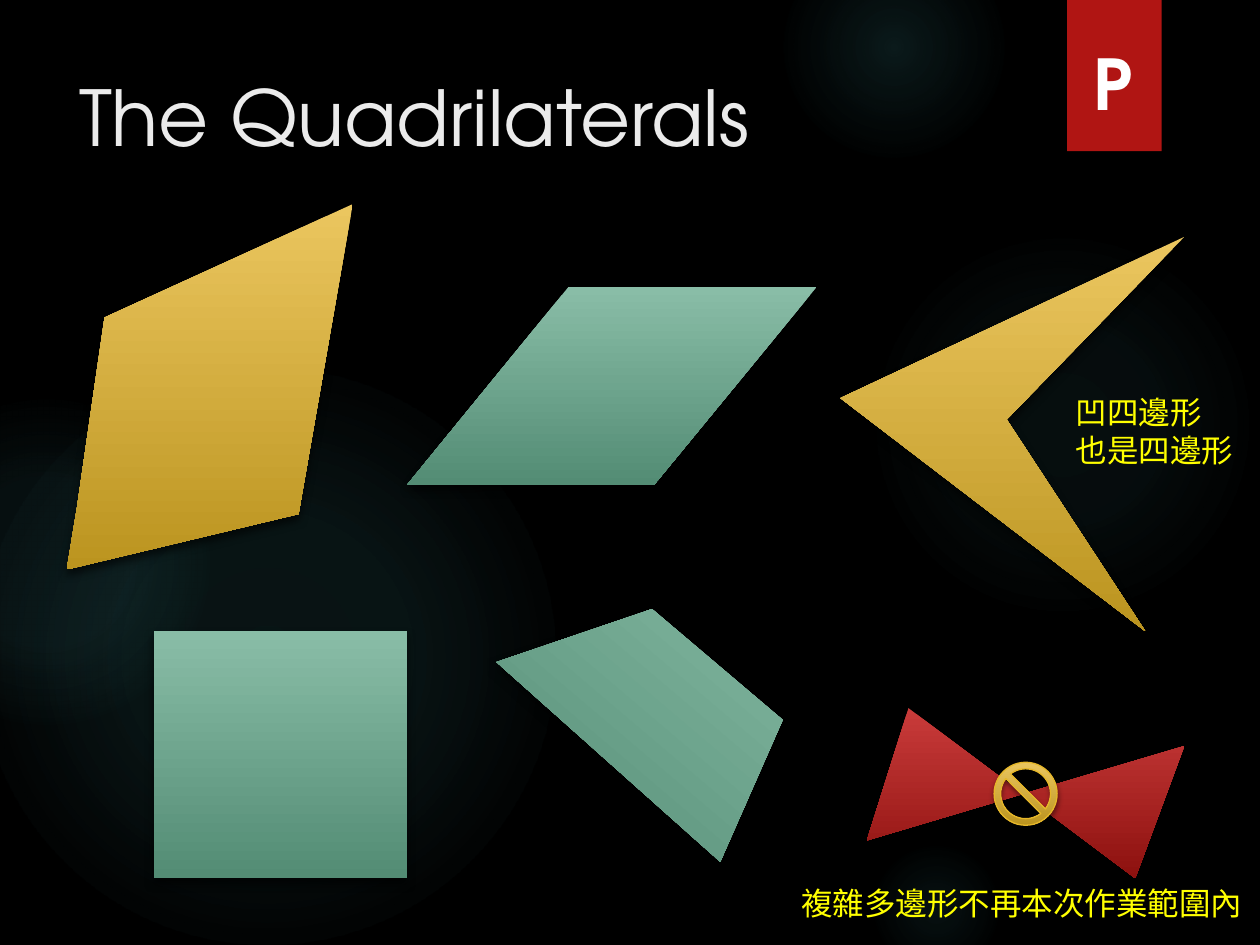
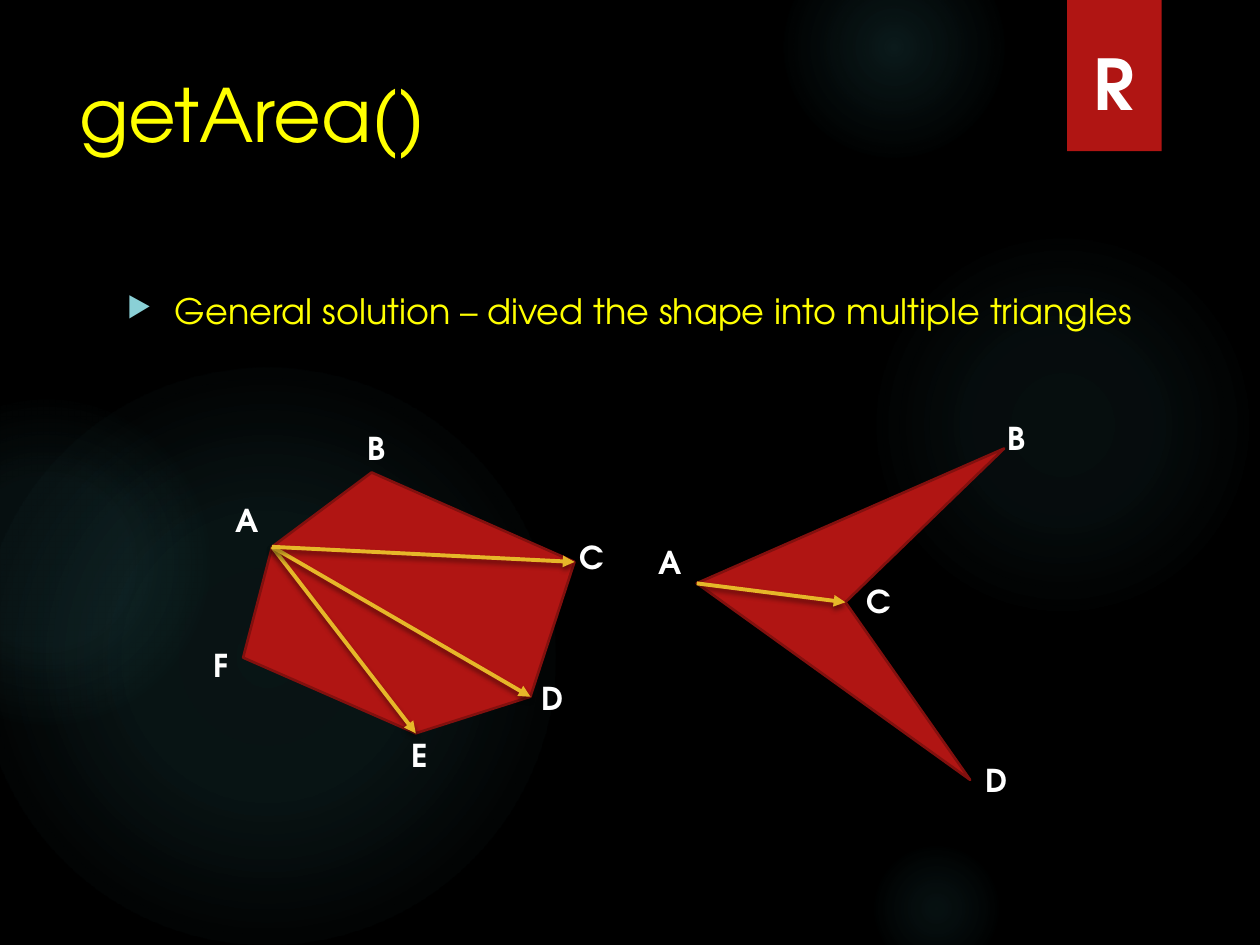
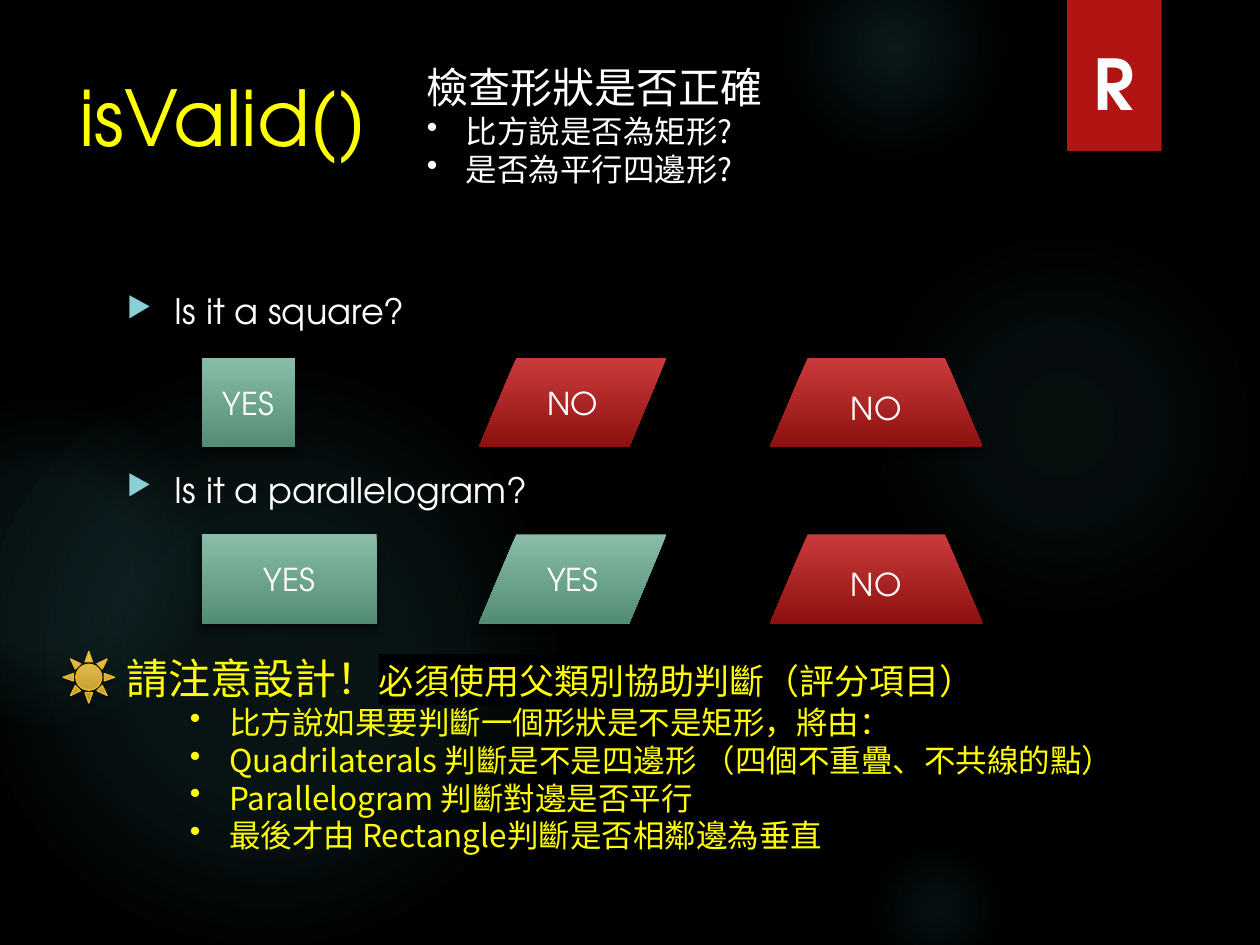
import pptx
import pptx.util
from pptx.dml.color import RGBColor
from pptx.enum.shapes import MSO_CONNECTOR, MSO_SHAPE
from pptx.enum.text import MSO_ANCHOR, MSO_AUTO_SIZE, PP_ALIGN
from pptx.oxml import parse_xml
from pptx.oxml.ns import nsdecls, qn
from pptx.util import Inches, Pt
from lxml import etree

# Colours and fonts
BLACK = RGBColor(0x00, 0x00, 0x00)
WHITE = RGBColor(0xFF, 0xFF, 0xFF)
PALE = RGBColor(0xEB, 0xEB, 0xEB)
YELLOW = RGBColor(0xFF, 0xFF, 0x00)
RED = RGBColor(0xB0, 0x15, 0x13)
DARK_RED = RGBColor(0x82, 0x10, 0x0E)
GOLD = RGBColor(0xE6, 0xB7, 0x29)
TEAL = RGBColor(0x50, 0xB9, 0xC1)
BULLET_BLUE = RGBColor(0x8A, 0xD0, 0xD6)
GREEN_BLEND = (RGBColor(0x89, 0xBD, 0xA7), RGBColor(0x53, 0x8C, 0x74))
GOLD_BLEND = (RGBColor(0xEB, 0xC6, 0x5F), RGBColor(0xBB, 0x94, 0x1F))
RED_BLEND = (RGBColor(0xC9, 0x3B, 0x3A), RGBColor(0x8D, 0x11, 0x0F))
LATIN = "TeX Gyre Adventor"
CHINESE = "Noto Sans CJK SC"

# Shadows: opacity in percent, blur and distance in points
DEEP = (60, 5, 3)
SOFT = (45, 3, 2)

# Background glows: left, top, diameter, (position, opacity) stops
GLOWS = [
    (6.89, 1.83, 3.08, [(0, 7), (36, 6), (69, 0)]),
    (6.22, -0.5, 1.75, [(0, 14), (36, 7), (73, 0)]),
    (6.89, 6.67, 1.08, [(0, 9), (36, 5), (66, 0)]),
    (-0.17, 2.92, 4.58, [(0, 11), (36, 10), (75, 0)]),
    (-0.92, 3.17, 2.58, [(0, 8), (36, 8), (72, 0)]),
]


# Fills, lines and shadows
def add_shadow(element, shadow):
    props = element.spPr
    effects = props.find(qn("a:effectLst"))
    if effects is None:
        effects = etree.SubElement(props, qn("a:effectLst"))
    if shadow:
        opacity, blur, distance = shadow
        effects.append(parse_xml(
            f'<a:outerShdw {nsdecls("a")} blurRad="{Pt(blur)}" dist="{Pt(distance)}" '
            f'dir="5400000" rotWithShape="0"><a:srgbClr val="{BLACK}">'
            f'<a:alpha val="{opacity * 1000}"/></a:srgbClr></a:outerShdw>'))


def paint(shape, fill, line=None, shadow=None):
    """Fill with one colour or a top-to-bottom blend; line is (colour, points)."""
    if isinstance(fill, RGBColor):
        shape.fill.solid()
        shape.fill.fore_color.rgb = fill
    else:
        shape.fill.gradient()
        shape.fill.gradient_angle = 270
        for stop, color, position in zip(shape.fill.gradient_stops, fill, (0, 1)):
            stop.color.rgb = color
            stop.position = position
    if line:
        shape.line.color.rgb = line[0]
        shape.line.width = Pt(line[1])
    else:
        shape.line.fill.background()
    shape.shadow.inherit = False
    add_shadow(shape.element, shadow)


def add_glow(page, left, top, size, stops):
    glow = page.shapes.add_shape(MSO_SHAPE.OVAL, Inches(left), Inches(top),
                                 Inches(size), Inches(size))
    paint(glow, TEAL)
    marks = "".join(
        f'<a:gs pos="{position * 1000}"><a:srgbClr val="{TEAL}">'
        f'<a:alpha val="{opacity * 1000}"/></a:srgbClr></a:gs>'
        for position, opacity in stops)
    props = glow.element.spPr
    props.replace(props.find(qn("a:solidFill")), parse_xml(
        f'<a:gradFill {nsdecls("a")} rotWithShape="1"><a:gsLst>{marks}</a:gsLst>'
        '<a:path path="circle"><a:fillToRect l="50000" t="50000" r="50000" b="50000"/>'
        '</a:path></a:gradFill>'))


# Text
def add_span(para, text, size, color, font=LATIN, bold=False, highlight=None):
    span = para.add_run()
    span.text = text
    span.font.size = Pt(size)
    span.font.bold = bold
    span.font.color.rgb = color
    props = span.font._element
    if highlight is not None:
        mark = etree.SubElement(props, qn("a:highlight"))
        etree.SubElement(mark, qn("a:srgbClr"), val=str(highlight))
    span.font.name = font
    etree.SubElement(props, qn("a:ea"), typeface=font)


def add_bullet(para, symbol, margin, hang, color=None, percent=None):
    props = para._p.get_or_add_pPr()
    props.set("marL", str(Inches(margin)))
    props.set("indent", str(-Inches(hang)))
    if color is not None:
        tint = etree.SubElement(props, qn("a:buClr"))
        etree.SubElement(tint, qn("a:srgbClr"), val=str(color))
    if percent:
        etree.SubElement(props, qn("a:buSzPct"), val=str(percent * 1000))
    etree.SubElement(props, qn("a:buChar"), char=symbol)


def add_box(page, left, top, width, height, wrap=True, grow=False):
    frame = page.shapes.add_textbox(Inches(left), Inches(top),
                                    Inches(width), Inches(height)).text_frame
    frame.word_wrap = wrap
    if grow:
        frame.auto_size = MSO_AUTO_SIZE.SHAPE_TO_FIT_TEXT
    return frame


def add_label(page, left, top, width, height, lines, size=18, color=WHITE,
              font=LATIN, bold=False):
    para = add_box(page, left, top, width, height, False, True).paragraphs[0]
    for number, line in enumerate(lines):
        if number:
            para.add_line_break()
        add_span(para, line, size, color, font, bold)


def add_questions(page, width, color, *questions):
    frame = add_box(page, 0.91, 2.25, width, 4.59)
    for number, question in enumerate(questions):
        para = frame.add_paragraph() if number else frame.paragraphs[0]
        if number:
            para.space_before = Pt(78)  # leaves room for a row of answers
        add_bullet(para, "▶", 0.38, 0.38, BULLET_BLUE, 80)
        add_span(para, question, 20, color)


def add_points(frame, points, color, margin, level=0):
    for point in points:
        para = frame.add_paragraph()
        para.level = level
        add_bullet(para, "•", margin, 0.31)
        add_span(para, point, 18, color, CHINESE)


# Shapes
def add_preset(page, kind, left, top, width, height, fill, line=None, shadow=DEEP,
               adjust=None, text=None):
    shape = page.shapes.add_shape(kind, Inches(left), Inches(top),
                                  Inches(width), Inches(height))
    if adjust is not None:
        shape.adjustments[0] = adjust
    paint(shape, fill, line, shadow)
    if text:
        shape.text_frame.vertical_anchor = MSO_ANCHOR.MIDDLE
        para = shape.text_frame.paragraphs[0]
        para.alignment = PP_ALIGN.CENTER
        add_span(para, text, 18, WHITE)


def add_polygon(page, points, fill, line=None, shadow=None, rotation=0):
    corners = [(Inches(x), Inches(y)) for x, y in points]
    builder = page.shapes.build_freeform(*corners[0])
    builder.add_line_segments(corners[1:], close=True)
    polygon = builder.convert_to_shape()
    polygon.rotation = rotation
    paint(polygon, fill, line, shadow)


def add_arrow(page, start, end):
    arrow = page.shapes.add_connector(MSO_CONNECTOR.STRAIGHT,
                                      *(Inches(value) for value in start + end))
    arrow.line.color.rgb = GOLD
    arrow.line.width = Pt(2.25)
    line = arrow._element.spPr.find(qn("a:ln"))
    etree.SubElement(line, qn("a:tailEnd"), type="triangle")
    add_shadow(arrow._element, SOFT)


def add_divided_polygon(page, corners, labels, targets):
    """Red polygon cut by arrows from its corner A; labels give box left, top, width."""
    add_polygon(page, corners.values(), RED, (DARK_RED, 1.5))
    for target in targets:
        add_arrow(page, corners["A"], corners[target])
    for letter, (left, top, width) in labels.items():
        add_label(page, left, top, width, 0.4, [letter], bold=True)


# Slides
def add_page(deck, title, letter, size=44, color=YELLOW):
    page = deck.slides.add_slide(deck.slide_layouts[6])
    page.background.fill.solid()
    page.background.fill.fore_color.rgb = BLACK
    for glow in GLOWS:
        add_glow(page, *glow)
    add_preset(page, MSO_SHAPE.RECTANGLE, 8.47, 0, 0.75, 1.2, RED, shadow=SOFT)
    add_label(page, 8.58, 0.27, 0.53, 0.77, [letter], 40, bold=True)
    frame = add_box(page, 0.53, 0.5, 7.72, 1.53)
    add_span(frame.paragraphs[0], title, size, color)
    return page


def build_quadrilaterals(deck):
    page = add_page(deck, "The Quadrilaterals", "P", color=PALE)
    add_preset(page, MSO_SHAPE.RECTANGLE, 1.22, 5.01, 2.01, 1.96, GREEN_BLEND)
    parallelogram = [(3.23, 3.85), (4.51, 2.28), (6.48, 2.28), (5.19, 3.85)]
    irregular = [(0.53, 4.52), (0.61, 4.04), (0.83, 2.52), (2.8, 1.62), (2.37, 4.08)]
    concave = [(6.67, 3.16), (9.4, 1.88), (7.99, 3.33), (9.09, 5.01)]
    trapezoid = [(4, 6.15), (4.67, 5.03), (6.03, 5.03), (6.38, 6.21)]
    crossed = [(6.88, 6.67), (7.21, 5.62), (9.01, 6.97), (9.4, 5.92)]
    for points, blend, rotation in [
            (parallelogram, GREEN_BLEND, 0), (irregular, GOLD_BLEND, 0),
            (concave, GOLD_BLEND, 0), (trapezoid, GREEN_BLEND, 40.3),
            (crossed, RED_BLEND, 0)]:
        add_polygon(page, points, blend, shadow=DEEP, rotation=rotation)
    add_label(page, 8.44, 3.07, 1.46, 0.71, ["凹四邊形", "也是四邊形"],
              color=YELLOW, font=CHINESE)
    add_label(page, 6.26, 6.97, 3.74, 0.4, ["複雜多邊形不再本次作業範圍內"],
              color=YELLOW, font=CHINESE)
    add_preset(page, MSO_SHAPE.NO_SYMBOL, 7.89, 6.05, 0.5, 0.5, GOLD_BLEND,
               (GOLD, 0.75), SOFT, 0.104)


def build_area(deck):
    page = add_page(deck, "getArea()", "R", size=42)
    add_questions(page, 8.37, YELLOW,
                  "General solution – dived the shape into multiple triangles")
    add_divided_polygon(
        page,
        {"A": (2.16, 4.34), "B": (2.95, 3.75), "C": (4.56, 4.46),
         "D": (4.21, 5.53), "E": (3.3, 5.82), "F": (1.93, 5.22)},
        {"A": (1.77, 3.93, 0.39), "B": (2.82, 3.36, 0.35), "C": (4.5, 4.22, 0.41),
         "D": (4.2, 5.34, 0.38), "E": (3.17, 5.79, 0.33), "F": (1.6, 5.08, 0.33)},
        "EDC")
    add_divided_polygon(
        page,
        {"A": (5.53, 4.63), "B": (7.97, 3.56), "C": (6.71, 4.78), "D": (7.7, 6.19)},
        {"A": (5.13, 4.26, 0.39), "B": (7.9, 3.28, 0.35),
         "C": (6.78, 4.57, 0.41), "D": (7.72, 5.99, 0.38)},
        "C")


def build_validity(deck):
    page = add_page(deck, "isValid()", "R")
    add_questions(page, 7.34, WHITE, "Is it a square?", "Is it a parallelogram?")

    # One row of answers under each question
    blends = {"YES": GREEN_BLEND, "NO": RED_BLEND}
    for top, box_width, answers in [(2.84, 0.74, ("YES", "NO", "NO")),
                                    (4.24, 1.39, ("YES", "YES", "NO"))]:
        candidates = [(MSO_SHAPE.RECTANGLE, 1.6, box_width, None),
                      (MSO_SHAPE.FLOWCHART_DATA, 3.8, 1.49, None),
                      (MSO_SHAPE.TRAPEZOID, 6.11, 1.69, 0.424)]
        for (kind, left, width, adjust), answer in zip(candidates, answers):
            add_preset(page, kind, left, top, width, 0.71, blends[answer],
                       adjust=adjust, text=answer)

    # Design advice
    advice = add_box(page, 0.91, 5.13, 8.1, 1.72, False, True)
    add_span(advice.paragraphs[0], "請注意設計！", 24, YELLOW, CHINESE)
    add_span(advice.paragraphs[0], "必須使用父類別協助判斷（評分項目）", 20, YELLOW,
             CHINESE, highlight=BLACK)
    add_points(advice, ["比方說如果要判斷一個形狀是不是矩形，將由：",
                        "Quadrilaterals 判斷是不是四邊形 （四個不重疊、不共線的點）",
                        "Parallelogram 判斷對邊是否平行",
                        "最後才由 Rectangle判斷是否相鄰邊為垂直"], YELLOW, 0.81, 1)
    add_preset(page, MSO_SHAPE.SUN, 0.5, 5.17, 0.41, 0.41, GOLD_BLEND,
               (GOLD, 0.75), SOFT)

    # Purpose of the check
    purpose = add_box(page, 3.29, 0.44, 5, 1.11, grow=True)
    add_span(purpose.paragraphs[0], "檢查形狀是否正確", 24, WHITE, CHINESE)
    add_points(purpose, ["比方說是否為矩形?", "是否為平行四邊形?"], WHITE, 0.31)


def main():
    deck = pptx.Presentation()
    deck.slide_width = Inches(10)
    deck.slide_height = Inches(7.5)
    build_quadrilaterals(deck)
    build_area(deck)
    build_validity(deck)
    deck.save("out.pptx")


if __name__ == "__main__":
    main()
